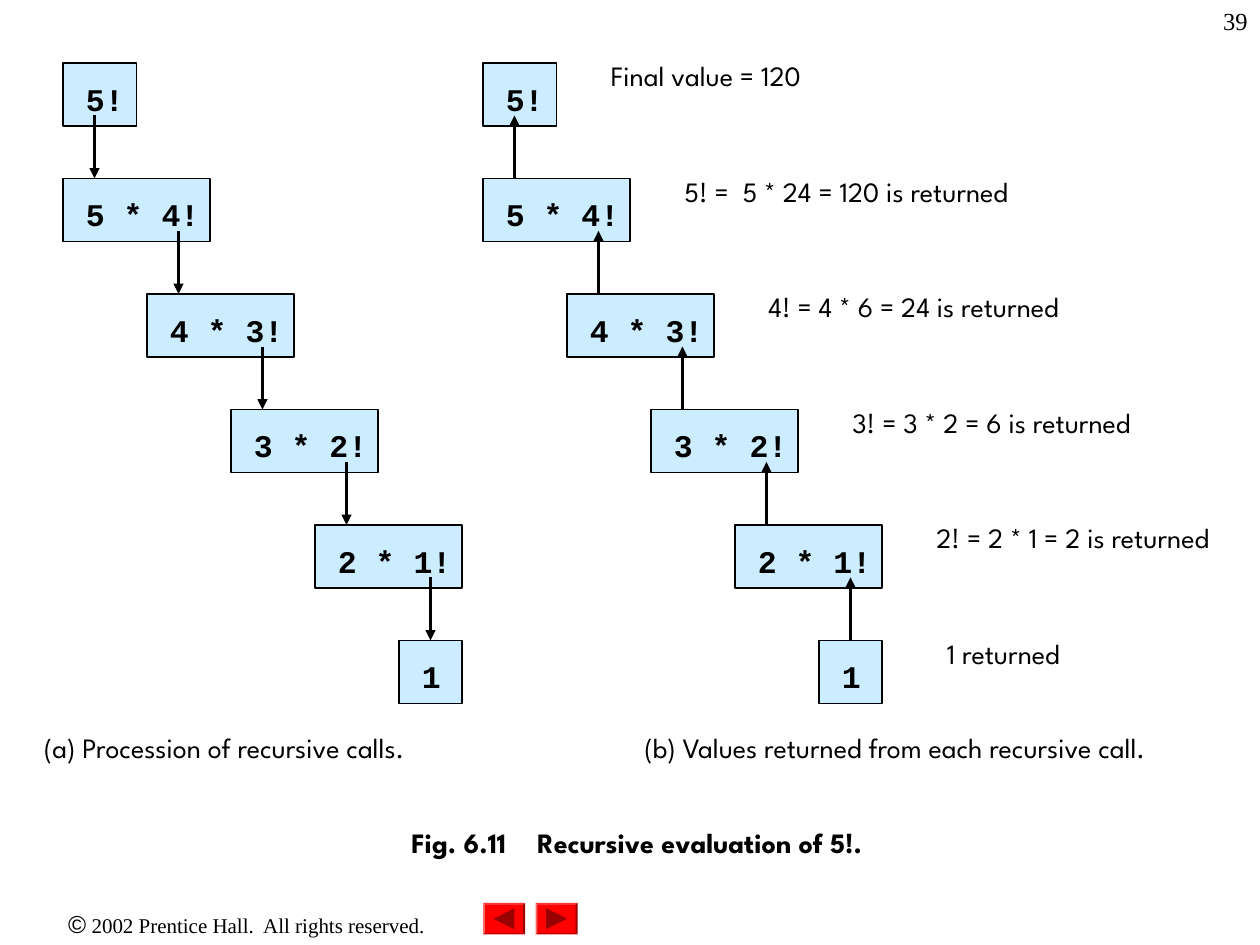
"""Build the slide on the recursive evaluation of 5!."""
from dataclasses import dataclass

from pptx import Presentation
from pptx.dml.color import RGBColor as Rgb
from pptx.enum.shapes import MSO_CONNECTOR as Wire, MSO_SHAPE as Kind
from pptx.enum.text import PP_ALIGN as Align
from pptx.oxml.ns import qn
from pptx.oxml.xmlchemy import OxmlElement as Node
from pptx.util import Inches, Pt


@dataclass(frozen=True)
class Theme:
    """Hold the colours and the type styles."""
    ink: Rgb = Rgb(0, 0, 0)
    box: Rgb = Rgb(0xCC, 0xEC, 0xFF)
    key: Rgb = Rgb(0xFF, 0, 0)
    mark: Rgb = Rgb(0x99, 0, 0)
    edge: float = 0.75
    stem: float = 1.5

    def font(self, name, size, bold=False):
        """Return the format values of a font."""
        return {"name": name, "size": Pt(size), "bold": bold}

    @property
    def fonts(self):
        """Return the type styles by role."""
        return {
            "code": self.font("Courier New", 18, True),
            "note": self.font("League Spartan", 16),
            "title": self.font("League Spartan", 16, True),
            "page": self.font("Times New Roman", 14),
            "foot": self.font("Times New Roman", 12),
            "sign": self.font("Arial", 14),
        }


THEME = Theme()
COLS, ROWS = 120, 90
TOP, DROP, TALL = 6, 11, 6
STEPS = [
    ("5!", 6, 7, 4, "Final value = 120", 24),
    ("5 * 4!", 6, 14, 4, "5! =  5 * 24 = 120 is returned", 37),
    ("4 * 3!", 14, 14, 4, "4! = 4 * 6 = 24 is returned", 33),
    ("3 * 2!", 22, 14, 4, "3! = 3 * 2 = 6 is returned", 32),
    ("2 * 1!", 30, 14, 4, "2! = 2 * 1 = 2 is returned", 32),
    ("1", 38, 6, 5, "1 returned", 16),
]


def grid(*units):
    """Turn grid units into lengths."""
    return [Inches(unit * 10 / COLS) for unit in units]


def add_text(slide, area, runs, align=Align.LEFT, wrap=True):
    """Add a line of text made of (text, role) runs."""
    frame = slide.shapes.add_textbox(*grid(*area)).text_frame
    frame.word_wrap = wrap
    para = frame.paragraphs[0]
    para.alignment = align
    for text, role in runs:
        run = para.add_run()
        run.text = text
        run.font.color.rgb = THEME.ink
        for name, value in THEME.fonts[role].items():
            setattr(run.font, name, value)


def add_form(slide, kind, area, fill, edge=False):
    """Add a filled preset shape."""
    form = slide.shapes.add_shape(kind, *grid(*area))
    form.shadow.inherit = False
    form.fill.solid()
    form.fill.fore_color.rgb = fill
    if edge:
        form.line.color.rgb = THEME.ink
        form.line.width = Pt(THEME.edge)
    else:
        form.line.fill.background()
    return form


def add_arrow(slide, col, start, end):
    """Add an upright arrow between two rows."""
    wire = slide.shapes.add_connector(
        Wire.STRAIGHT, *grid(col, start, col, end))
    wire.line.color.rgb = THEME.ink
    wire.line.width = Pt(THEME.stem)
    tip = Node("a:tailEnd")
    tip.set("type", "triangle")
    props = wire.line._get_or_add_ln()
    props.append(tip)
    props.getparent().append(Node("a:effectLst"))
    assert props.find(qn("a:tailEnd")) is not None


def add_stairs(slide, left, back):
    """Add one flight of calls, with values when it goes back up."""
    for step, (code, col, wide, gap, note, span) in enumerate(STEPS):
        x, y = left + col, TOP + step * DROP
        add_form(slide, Kind.RECTANGLE, (x, y, wide, TALL), THEME.box, True)
        room = wide if wide > 7 else wide - 1
        add_text(slide, (x + 1, y + 1, room, 4.8), [(code, "code")])
        if back:
            add_text(slide, (x + wide + gap, y - 1, span, 4.4),
                     [(note, "note")], wrap=False)
    for step, (_, col, *_) in enumerate(STEPS[1:]):
        ends = [TOP + step * DROP + 5, TOP + (step + 1) * DROP]
        add_arrow(slide, left + col + 3, *(reversed(ends) if back else ends))


def add_key(slide, col, turn):
    """Add a raised button with a triangle turned to one side."""
    key = add_form(slide, Kind.BEVEL, (col, 86, 4, 3), THEME.key)
    key.adjustments[0] = 0.06
    mark = add_form(slide, Kind.ISOSCELES_TRIANGLE,
                    (col + 1, 86.5, 2, 2), THEME.mark)
    mark.rotation = turn


def main():
    """Build and save the slide."""
    deck = Presentation()
    deck.slide_width, deck.slide_height = grid(COLS, ROWS)
    slide = deck.slides.add_slide(deck.slide_layouts[6])
    add_text(slide, (0, 86, 47, 4), [
        ("©", "sign"),
        (" 2002 Prentice Hall.  All rights reserved.", "foot"),
    ], Align.CENTER)
    for col, turn in ((46, 270), (51, 90)):
        add_key(slide, col, turn)
    add_text(slide, (38, 78, 50, 4.4),
             [("Fig. 6.11\tRecursive evaluation of 5!.", "title")])
    for left, back in ((0, False), (40, True)):
        add_stairs(slide, left, back)
    add_text(slide, (3, 69, 44, 4.4),
             [("(a) Procession of recursive calls.", "note")])
    add_text(slide, (60.2, 69, 59.8, 4.4),
             [("(b) Values returned from each recursive call.", "note")],
             wrap=False)
    add_text(slide, (95, 0, 25, 6), [("39", "page")], Align.RIGHT)
    deck.save("out.pptx")


if __name__ == "__main__":
    main()
